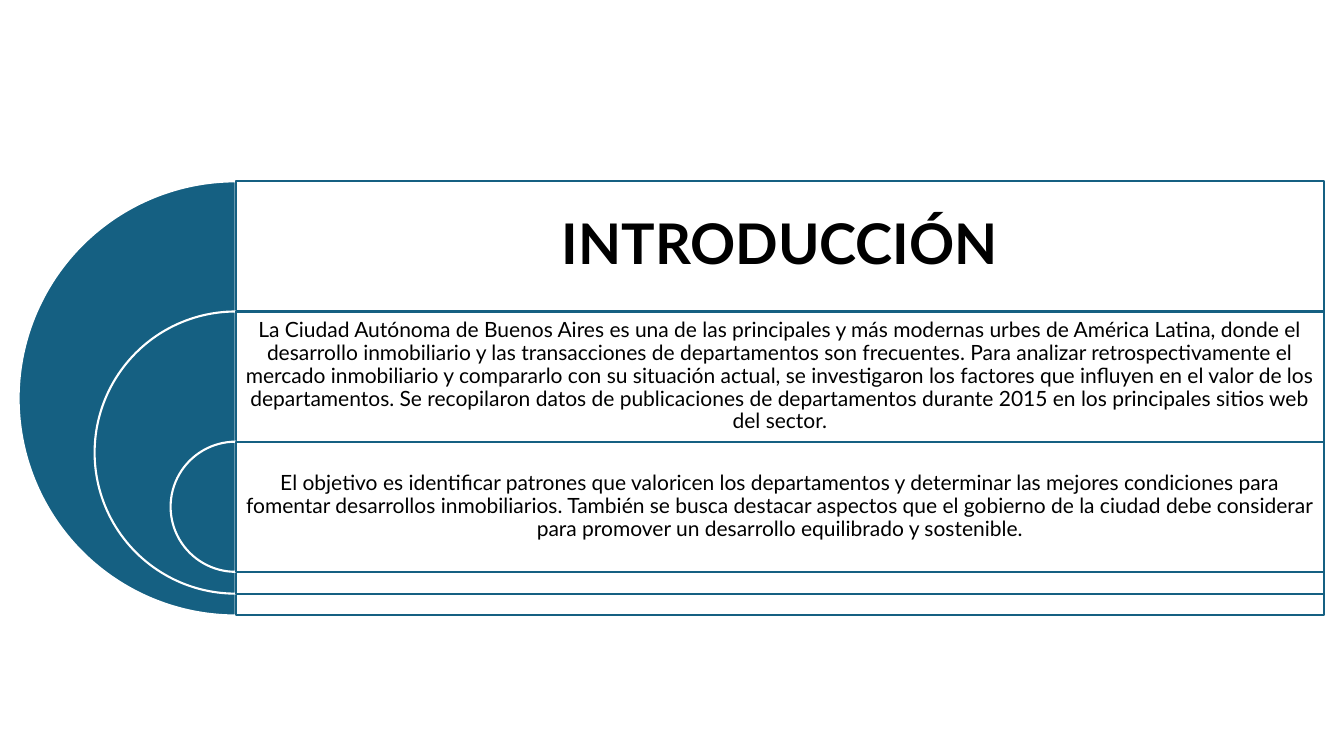
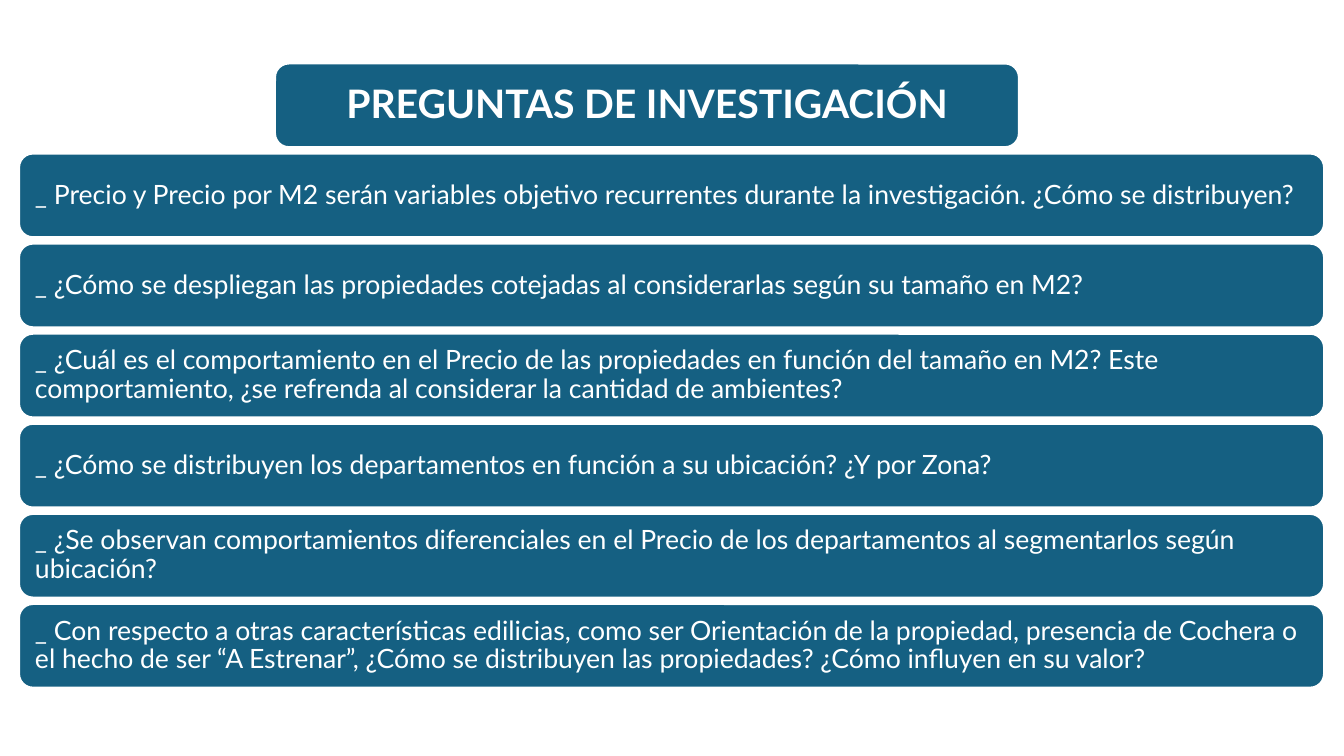
from lxml import etree
from pptx import Presentation
from pptx import util as u
from pptx.dml.color import RGBColor
from pptx.enum import shapes, text
from pptx.oxml.ns import qn

BLUE = RGBColor(0x15, 0x60, 0x82)
WHITE = RGBColor(0xFF, 0xFF, 0xFF)
BLACK = RGBColor(0, 0, 0)
SHAPE = shapes.MSO_SHAPE
CENTER = text.PP_ALIGN.CENTER
LEFT = text.PP_ALIGN.LEFT

INTRO = [
    ("INTRODUCCIÓN", 40, True, 0.43),
    ("La Ciudad Autónoma de Buenos Aires es una de las principales y más modernas urbes de "
     "América Latina, donde el desarrollo inmobiliario y las transacciones de departamentos son "
     "frecuentes. Para analizar retrospectivamente el mercado inmobiliario y compararlo con su "
     "situación actual, se investigaron los factores que influyen en el valor de los "
     "departamentos. Se recopilaron datos de publicaciones de departamentos durante 2015 en los "
     "principales sitios web del sector.", 15, False, 0.15),
    ("El objetivo es identificar patrones que valoricen los departamentos y determinar las "
     "mejores condiciones para fomentar desarrollos inmobiliarios. También se busca destacar "
     "aspectos que el gobierno de la ciudad debe considerar para promover un desarrollo "
     "equilibrado y sostenible.", 15, False, 0.15),
]

QUESTIONS = [
    "_ Precio y Precio por M2 serán variables objetivo recurrentes durante la investigación. "
    "¿Cómo se distribuyen?",
    "_ ¿Cómo se despliegan las propiedades cotejadas al considerarlas según su tamaño en M2?",
    "_ ¿Cuál es el comportamiento en el Precio de las propiedades en función del tamaño en M2? "
    "Este comportamiento, ¿se refrenda al considerar la cantidad de ambientes?",
    "_ ¿Cómo se distribuyen los departamentos en función a su ubicación? ¿Y por Zona?",
    "_ ¿Se observan comportamientos diferenciales en el Precio de los departamentos al "
    "segmentarlos según ubicación?",
    "_ Con respecto a otras características edilicias, como ser Orientación de la propiedad, "
    "presencia de Cochera o el hecho de ser “A Estrenar”, ¿Cómo se distribuyen las propiedades? "
    "¿Cómo influyen en su valor?",
]


class Deck:
    font = "Lato"
    line_width = u.Pt(1.5)
    line_spacing = 0.9

    def __init__(self):
        self.prs = Presentation()
        self.prs.slide_width = u.Cm(33.87)
        self.prs.slide_height = u.Cm(19.05)
        self.s = None

    def slide(self):
        self.s = self.prs.slides.add_slide(self.prs.slide_layouts[6])

    def shape(self, kind, x, y, w, h, fill, line):
        sp = self.s.shapes.add_shape(kind, u.Cm(x), u.Cm(y), u.Cm(w), u.Cm(h))
        sp.shadow.inherit = False
        sp.fill.solid()
        sp.fill.fore_color.rgb = fill
        sp.line.color.rgb = line
        sp.line.width = self.line_width
        return sp

    def label(self, sp, words, size, bold, color, align, inset, below=0):
        tf = sp.text_frame
        tf.word_wrap = True
        tf.vertical_anchor = text.MSO_ANCHOR.MIDDLE
        tf.margin_left = tf.margin_right = tf.margin_top = u.Cm(inset)
        tf.margin_bottom = u.Cm(inset + below)
        p = tf.paragraphs[0]
        p.alignment = align
        p.line_spacing = self.line_spacing
        r = p.add_run()
        r.text = words
        r.font.name = self.font
        r.font.size = u.Pt(size)
        r.font.bold = bold
        r.font.color.rgb = color

    def half_disc(self, center_x, y, size):
        sp = self.shape(SHAPE.PIE, center_x - size / 2, y, size, size, BLUE, WHITE)
        sp.adjustments[0] = 54
        sp.adjustments[1] = 162

    def panel(self, x, y, w, h, band, words, size, bold, inset):
        sp = self.shape(SHAPE.RECTANGLE, x, y, w, h, WHITE, BLUE)
        clr = sp.element.spPr.find(qn("a:solidFill"))[0]
        etree.SubElement(clr, qn("a:alpha")).set("val", "90000")
        self.label(sp, words, size, bold, BLACK, CENTER, inset, h - band)

    def bar(self, x, y, w, h, words, size=19, bold=False, align=LEFT, inset=0.3):
        sp = self.shape(SHAPE.ROUNDED_RECTANGLE, x, y, w, h, BLUE, WHITE)
        self.label(sp, words, size, bold, WHITE, align, inset)


def introduction(deck):
    deck.slide()
    x, top, w, band, foot = 5.94, 4.57, 27.43, 3.28, 0.55
    last = len(INTRO) - 1
    for i, (words, size, bold, inset) in enumerate(INTRO):
        y = top + i * band
        h = band + (last - i) * (band + foot)
        deck.half_disc(x, y, h)
        deck.panel(x, y, w, h, band, words, size, bold, inset)


def research_questions(deck):
    deck.slide()
    top, h, pitch = 1.6, 2.11, 2.27
    deck.bar(6.93, top, 18.75, h, "PREGUNTAS DE INVESTIGACIÓN", 28, True, CENTER, 0.4)
    for i, question in enumerate(QUESTIONS, 1):
        deck.bar(0.48, top + i * pitch, 32.89, h, question)


def main():
    deck = Deck()
    introduction(deck)
    research_questions(deck)
    deck.prs.save("out.pptx")


if __name__ == "__main__":
    main()
